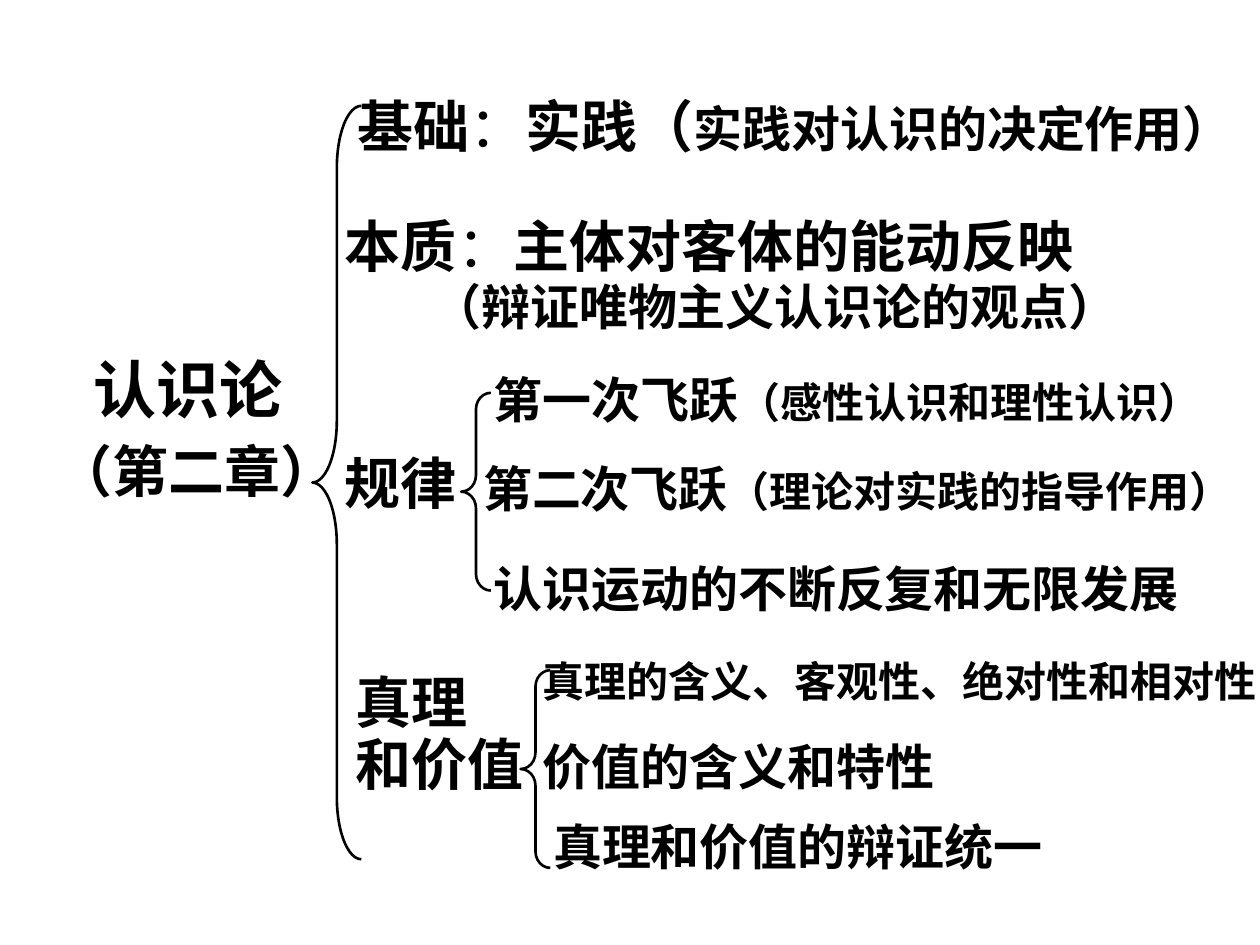
from pptx import Presentation
from pptx import util as u
from pptx.dml.color import RGBColor
from pptx.enum import shapes, text

COLORS = {"ink": "000000", "paper": "FFFFFF"}


def add_run(p, content, size=28, bold=True, font="Arial", color="ink"):
    r = p.add_run()
    r.text = content
    r.font.size = u.Pt(size)
    r.font.bold = bold
    r.font.name = font
    r.font.color.rgb = RGBColor.from_string(COLORS[color])


class Outline:
    """Draws braces and bold labels on the current slide."""

    def __init__(self, prs):
        self.s = prs.slides.add_slide(prs.slide_layouts[6])
        fill = self.s.background.fill
        fill.solid()
        fill.fore_color.rgb = RGBColor.from_string(COLORS["paper"])

    def label(self, box, *lines, indents=(0, 0), before=0, spacing=None):
        sp = self.s.shapes.add_textbox(*map(u.Pt, box))
        tf = sp.text_frame
        tf.word_wrap = True
        tf.vertical_anchor = text.MSO_ANCHOR.TOP
        for i, (runs, indent) in enumerate(zip(lines, indents)):
            p = tf.add_paragraph() if i else tf.paragraphs[0]
            if indent:
                p._p.get_or_add_pPr().set("marL", str(u.Pt(indent)))
            if i:
                p.space_before = u.Pt(before)
            if spacing:
                p.line_spacing = spacing
            for content, size, *bold in runs:
                add_run(p, content, size, *bold)

    def brace(self, box, curve):
        sp = self.s.shapes.add_shape(shapes.MSO_SHAPE.LEFT_BRACE, *map(u.Pt, box))
        sp.shadow.inherit = False
        sp.fill.background()
        sp.line.color.rgb = RGBColor.from_string(COLORS["ink"])
        sp.line.width = u.Pt(1.5)
        sp.adjustments[0] = curve
        sp.adjustments[1] = 0.5


def main():
    prs = Presentation()
    prs.slide_width, prs.slide_height = u.Pt(720), u.Pt(540)
    o = Outline(prs)

    o.label((25, 196.5, 648, 356), [("认识论", 36)], [("（第二章）", 32)],
            indents=(21.5, 0), before=6.4)
    o.label((193, 49, 527, 45),
            [("基础", 32), ("：", 32, False), ("实践（", 32),
             ("实践对认识的决定作用）", 28)], indents=(4, 0))
    o.label((190, 134, 476, 65),
            [("本质", 32), ("：", 32, False), ("主体对客体的能动反映", 32)],
            [("（辩证唯物主义认识论的观点）", 28)],
            indents=(0, 50), before=16, spacing=0.5)
    o.label((190, 253, 142, 45), [("规律", 32)])
    o.label((196, 394.5, 544, 65), [("真理", 32)], [("和价值", 32)],
            before=16, spacing=0.5)

    o.brace((178.5, 60.5, 28, 430.5), 1.265)
    for left, top in ((263.5, 224.5), (297.5, 383)):
        o.brace((left, top, 17, 113), 0.556)

    o.label((275, 207.5, 487, 41), [("第一次飞跃", 28), ("（感性认识和理性认识）", 24)])
    o.label((269, 258.5, 476, 41), [("第二次飞跃", 28), ("（理论对实践的指导作用）", 24)])
    o.label((275, 315.5, 476, 41), [("认识运动的不断反复和无限发展", 28)])
    o.label((303, 371, 465, 36), [("真理的含义、客观性、绝对性和相对性", 24)])
    o.label((303, 417.5, 317, 41), [("价值的含义和特性", 28)])
    o.label((309, 463, 317, 41), [("真理和价值的辩证统一", 28)])

    prs.save("out.pptx")


if __name__ == "__main__":
    main()
